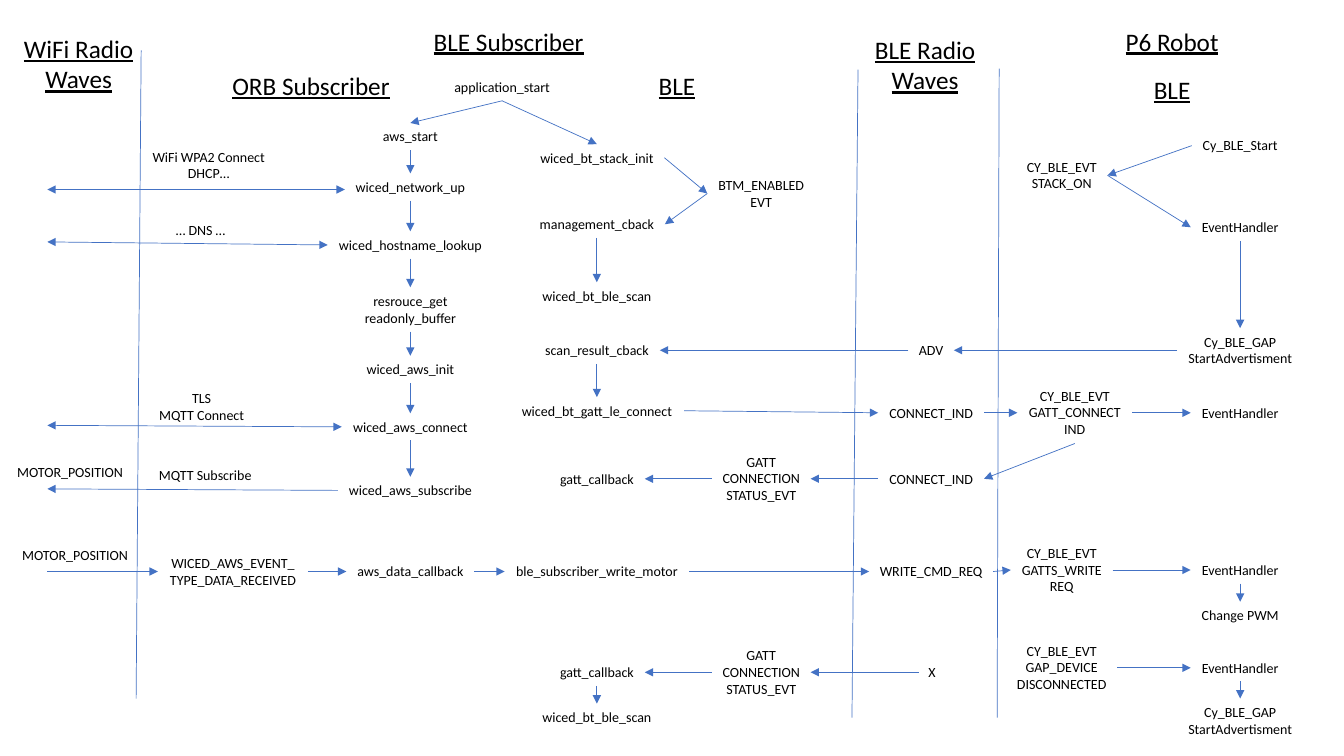
"""Build the message-flow slide linking WiFi, the BLE subscriber and the P6 robot."""
from dataclasses import dataclass
from itertools import pairwise

from lxml import etree
from pptx import Presentation
from pptx.dml.color import RGBColor
from pptx.enum.shapes import MSO_CONNECTOR
from pptx.enum.text import MSO_AUTO_SIZE, PP_ALIGN
from pptx.oxml.ns import qn
from pptx.util import Inches, Pt

STRAIGHT = MSO_CONNECTOR.STRAIGHT
CENTER = PP_ALIGN.CENTER
GROW = MSO_AUTO_SIZE.SHAPE_TO_FIT_TEXT
TOP, LEFT, BOTTOM, RIGHT = range(4)
CELL = Inches(0.1)


@dataclass(frozen=True)
class Theme:
    font: str = "Calibri"
    ink: RGBColor = RGBColor(0, 0, 0)
    line: RGBColor = RGBColor(0x44, 0x72, 0xC4)
    heading: int = 18
    body: int = 10
    stroke: float = 0.5


theme = Theme()
deck = Presentation()
deck.slide_width, deck.slide_height = Inches(13.33), Inches(7.5)
page = deck.slides.add_slide(deck.slide_layouts[6])


def add_label(column, row, width, text, size=theme.body):
    """Add centred text whose middle is at the given grid column and row."""
    is_heading = size == theme.heading
    height = 1 + (3.05 if is_heading else 1.7) * len(text.split("\n"))
    left, top = column - width / 2, row - height / 2
    box = page.shapes.add_textbox(*(round(cells * CELL) for cells in (left, top, width, height)))
    frame = box.text_frame
    frame.text = text
    frame.word_wrap = False
    frame.auto_size = GROW
    for para in frame.paragraphs:
        para.alignment = CENTER
        for span in para.runs:
            span.font.name = theme.font
            span.font.size = Pt(size)
            span.font.color.rgb = theme.ink
            span.font.underline = is_heading
    return box


def add_line(start, end, ends=()):
    """Join two grid points, or (label, side) pairs, with arrowheads at the named ends."""
    line = page.shapes.add_connector(STRAIGHT, 0, 0, 0, 0)
    if isinstance(start[0], str):
        line.begin_connect(boxes[start[0]], start[1])
    else:
        line.begin_x, line.begin_y = (round(cells * CELL) for cells in start)
    if isinstance(end[0], str):
        line.end_connect(boxes[end[0]], end[1])
    else:
        line.end_x, line.end_y = (round(cells * CELL) for cells in end)
    line.line.color.rgb = theme.line
    line.line.width = Pt(theme.stroke)
    stroke = line.line._get_or_add_ln()
    for name in ends:
        etree.SubElement(stroke, qn(f"a:{name}"), type="triangle")
    etree.SubElement(line._element.spPr, qn("a:effectLst"))


headings = [
    (7.8, 6.35, 13, "WiFi Radio\nWaves"),
    (50.45, 4.1, 17.1, "BLE Subscriber"),
    (30.85, 8.5, 18.1, "ORB Subscriber"),
    (67.15, 8.5, 5.7, "BLE"),
    (91.75, 6.45, 12.1, "BLE Radio\nWaves"),
    (116.25, 4.1, 11.3, "P6 Robot"),
    (116.25, 8.9, 5.7, "BLE"),
]
for heading in headings:
    add_label(*heading, size=theme.heading)

captions = [
    (20.7, 16.4, 13.4, "WiFi WPA2 Connect\nDHCP…"),
    (19.9, 22.85, 7, "… DNS …"),
    (20, 40.4, 10.6, "TLS\nMQTT Connect"),
    (20.35, 47.15, 11.3, "MQTT Subscribe"),
    (6.95, 46.85, 12.7, "MOTOR_POSITION"),
    (7.45, 55.05, 12.7, "MOTOR_POSITION"),
]
for caption in captions:
    add_label(*caption)

columns = {
    40.7: [
        ("cloud start", 13.55, 7.6, "aws_start"),
        ("network", 18.55, 13, "wiced_network_up"),
        ("hostname", 24.3, 16.4, "wiced_hostname_lookup"),
        ("resource", 30.7, 11.2, "resrouce_get\nreadonly_buffer"),
        ("cloud init", 36.65, 10.8, "wiced_aws_init"),
        ("cloud connect", 42.35, 13.6, "wiced_aws_connect"),
        ("subscribe", 48.65, 14.4, "wiced_aws_subscribe"),
        ("data callback", 56.7, 12.7, "aws_data_callback"),
    ],
    23.1: [("data event", 56.7, 14.9, "WICED_AWS_EVENT_\nTYPE_DATA_RECEIVED")],
    49.8: [("application", 8.65, 11.7, "application_start")],
    59.2: [
        ("stack init", 15.65, 13.4, "wiced_bt_stack_init"),
        ("management", 22.25, 13.5, "management_cback"),
        ("scan", 29.35, 13, "wiced_bt_ble_scan"),
        ("scan result", 34.75, 12.5, "scan_result_cback"),
        ("gatt connect", 40.75, 17.3, "wiced_bt_gatt_le_connect"),
        ("connected", 47.5, 9.5, "gatt_callback"),
        ("write motor", 56.7, 18.3, "ble_subscriber_write_motor"),
        ("disconnected", 66.7, 9.5, "gatt_callback"),
        ("rescan", 71.15, 13, "wiced_bt_ble_scan"),
    ],
    75.5: [
        ("enabled event", 19.2, 10.7, "BTM_ENABLED\nEVT"),
        ("connected event", 47.5, 9.8, "GATT\nCONNECTION\nSTATUS_EVT"),
        ("disconnected event", 66.7, 9.8, "GATT\nCONNECTION\nSTATUS_EVT"),
    ],
    92.35: [
        ("adv", 34.75, 4.5, "ADV"),
        ("connect request", 40.95, 10.5, "CONNECT_IND"),
        ("connect reply", 47.5, 10.5, "CONNECT_IND"),
        ("write request", 56.7, 12.3, "WRITE_CMD_REQ"),
        ("link loss", 66.7, 2.5, "X"),
    ],
    105.3: [
        ("stack on", 17.4, 9.1, "CY_BLE_EVT\nSTACK_ON"),
        ("robot write", 56.55, 10.1, "CY_BLE_EVT\nGATTS_WRITE\nREQ"),
        ("robot loss", 66.25, 11, "CY_BLE_EVT\nGAP_DEVICE\nDISCONNECTED"),
    ],
    106.6: [("robot connect", 40.95, 11.4, "CY_BLE_EVT\nGATT_CONNECT\nIND")],
    123: [
        ("robot start", 14.45, 9.6, "Cy_BLE_Start"),
        ("stack handler", 22.55, 9.8, "EventHandler"),
        ("advertise", 34.75, 12.5, "Cy_BLE_GAP\nStartAdvertisment"),
        ("connect handler", 40.95, 9.8, "EventHandler"),
        ("write handler", 56.55, 9.8, "EventHandler"),
        ("pwm", 61.05, 9.8, "Change PWM"),
        ("loss handler", 66.25, 9.8, "EventHandler"),
        ("readvertise", 71.5, 12.5, "Cy_BLE_GAP\nStartAdvertisment"),
    ],
}
boxes = {
    name: add_label(column, row, width, text)
    for column, steps in columns.items()
    for name, row, width, text in steps
}

chains = [
    (BOTTOM, TOP, ["cloud start", "network", "hostname", "resource", "cloud init",
                   "cloud connect", "subscribe"]),
    (BOTTOM, TOP, ["application", "cloud start"]),
    (BOTTOM, TOP, ["application", "stack init"]),
    (BOTTOM, TOP, ["management", "scan"]),
    (BOTTOM, TOP, ["scan result", "gatt connect"]),
    (BOTTOM, TOP, ["disconnected", "rescan"]),
    (BOTTOM, TOP, ["stack handler", "advertise"]),
    (BOTTOM, TOP, ["write handler", "pwm"]),
    (BOTTOM, TOP, ["loss handler", "readvertise"]),
    (RIGHT, LEFT, ["stack init", "enabled event"]),
    (RIGHT, LEFT, ["stack on", "stack handler"]),
    (RIGHT, LEFT, ["gatt connect", "connect request", "robot connect", "connect handler"]),
    (RIGHT, LEFT, ["data event", "data callback", "write motor", "write request",
                   "robot write", "write handler"]),
    (RIGHT, LEFT, ["robot loss", "loss handler"]),
    (LEFT, RIGHT, ["enabled event", "management"]),
    (LEFT, RIGHT, ["robot start", "stack on"]),
    (LEFT, RIGHT, ["advertise", "adv", "scan result"]),
    (LEFT, RIGHT, ["connect reply", "connected event", "connected"]),
    (LEFT, RIGHT, ["link loss", "disconnected event", "disconnected"]),
    (BOTTOM, RIGHT, ["robot connect", "connect reply"]),
]
for exit_side, entry_side, names in chains:
    for source, target in pairwise(names):
        add_line((source, exit_side), (target, entry_side), ["tailEnd"])

waves_edge = 4.7
both = ["headEnd", "tailEnd"]
add_line((34.2, 18.8), (waves_edge, 18.8), both)
add_line(("hostname", LEFT), (waves_edge, 24), both)
add_line(("cloud connect", LEFT), (waves_edge, 42.2), both)
add_line(("subscribe", LEFT), (waves_edge, 48.5), ["tailEnd"])
add_line(("data event", LEFT), (waves_edge, 56.7), ["headEnd"])

dividers = [
    ((14, 5), (13.5, 69.3)),
    ((85.1, 6.9), (84.5, 71.2)),
    ((99.1, 6.8), (98.9, 71.2)),
]
for upper, lower in dividers:
    add_line(upper, lower)

deck.save("out.pptx")
